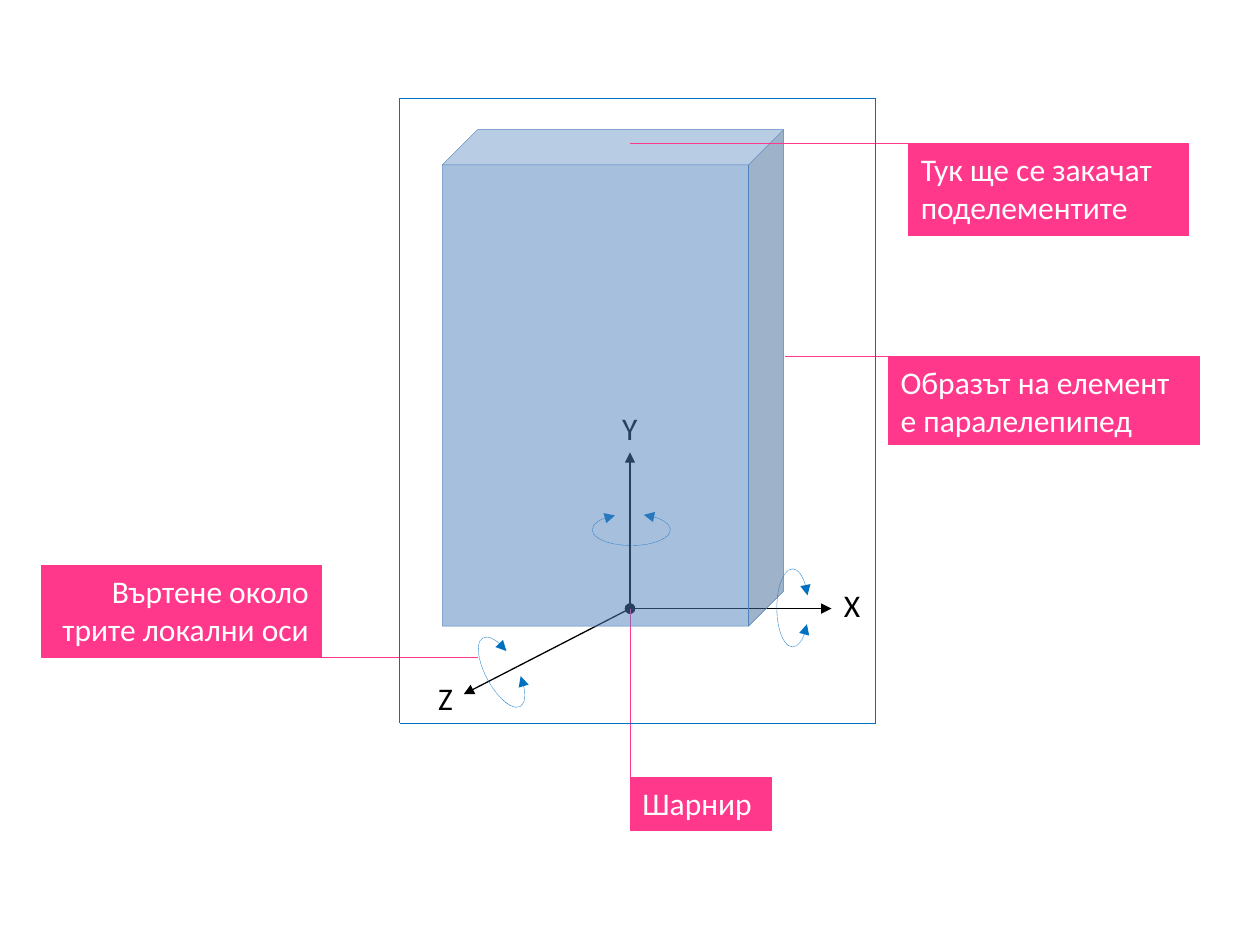
import pptx
import pptx.util
import pptx.dml.color
import pptx.enum.dml
import pptx.enum.shapes
import pptx.enum.text
import pptx.oxml
import pptx.oxml.ns
from pptx.util import Inches

SHAPE = pptx.enum.shapes.MSO_SHAPE
ALIGN = pptx.enum.text.PP_ALIGN
PINK, BLUE, STEEL, BLACK, WHITE = "FF388C", "0070C0", "4F81BD", "000000", "FFFFFF"
JOINT = (5, 4.83)


def rgb(value):
    return pptx.dml.color.RGBColor.from_string(value)


def add_xml(parent, tag, **attrs):
    el = pptx.oxml.parse_xml(f"<a:{tag} {pptx.oxml.ns.nsdecls('a')}/>")
    for name, value in attrs.items():
        el.set(name, value)
    parent.append(el)


def style_line(line, color, width=0.25, dotted=False, head=None, tail=None):
    line.color.rgb = rgb(color)
    line.width = pptx.util.Pt(width)
    if dotted:
        line.dash_style = pptx.enum.dml.MSO_LINE.ROUND_DOT
    ln = line._get_or_add_ln()
    for tag, kind in (("headEnd", head), ("tailEnd", tail)):
        if kind:
            add_xml(ln, tag, type=kind)


def add_shape(shapes, kind, box, fill=None):
    s = shapes.add_shape(kind, *map(Inches, box))
    s.shadow.inherit = False
    if fill:
        s.fill.solid()
        s.fill.fore_color.rgb = rgb(fill)
    else:
        s.fill.background()
    return s


def add_line(shapes, start, end, color, **style):
    c = shapes.add_connector(pptx.enum.shapes.MSO_CONNECTOR.STRAIGHT,
                             *map(Inches, start + end))
    style_line(c.line, color, **style)
    add_xml(c._element.spPr, "effectLst")


def add_text(tf, text, color, align=ALIGN.LEFT):
    p = tf.paragraphs[0]
    p.alignment = align
    r = p.add_run()
    r.text = text
    r.font.size = pptx.util.Pt(18)
    r.font.name = "Calibri"
    r.font.color.rgb = rgb(color)


def add_callout(slide, box, text, start, end, align=ALIGN.LEFT):
    """Pink label grouped with its leader line."""
    shapes = slide.shapes.add_group_shape().shapes
    s = add_shape(shapes, SHAPE.RECTANGLE, box, PINK)
    style_line(s.line, PINK)
    s.text_frame.word_wrap = True
    s.text_frame.vertical_anchor = pptx.enum.text.MSO_ANCHOR.TOP
    add_text(s.text_frame, text, WHITE, align)
    add_line(shapes, start, end, PINK)


def add_axis(slide, name, tip, label_at):
    add_line(slide.shapes, JOINT, tip, BLACK, width=0.75, head="oval", tail="triangle")
    tb = slide.shapes.add_textbox(*map(Inches, label_at + (0.34, 0.4)))
    tb.text_frame.word_wrap = False
    add_text(tb.text_frame, name, BLACK)


def add_rotation(slide, left, top, angle=0, flip=False):
    """Dotted two-headed arc around an axis."""
    s = add_shape(slide.shapes, SHAPE.ARC, (left, top, 0.62, 0.25))
    s.adjustments[0], s.adjustments[1] = 186.1, 132.81
    s.rotation = angle
    if flip:
        s._element.spPr.xfrm.set("flipV", "1")
    style_line(s.line, BLUE, dotted=True, head="triangle", tail="triangle")


def add_block(slide, box):
    s = add_shape(slide.shapes, SHAPE.CUBE, box, STEEL)
    s.adjustments[0] = 0.103
    fill = s._element.spPr.find(pptx.oxml.ns.qn("a:solidFill"))
    add_xml(fill[0], "alpha", val="50000")
    style_line(s.line, STEEL)


def add_frame(slide, box):
    s = add_shape(slide.shapes, SHAPE.RECTANGLE, box)
    style_line(s.line, BLUE, dotted=True)


def main():
    prs = pptx.Presentation()
    prs.slide_width, prs.slide_height = Inches(10), Inches(7.5)
    slide = prs.slides.add_slide(prs.slide_layouts[6])

    add_rotation(slide, 4.7, 4.08)
    add_axis(slide, "X", (6.6, 4.83), (6.6, 4.6))
    add_axis(slide, "Z", (3.68, 5.51), (3.38, 5.34))
    add_axis(slide, "Y", (5, 3.59), (4.84, 3.2))
    add_callout(slide, (5, 6.17, 1.12, 0.42), "Шарнир", JOINT, (5, 6.58))
    add_rotation(slide, 5.98, 4.7, 270, flip=True)
    add_rotation(slide, 3.67, 5.21, 61.5)
    add_callout(slide, (0.33, 4.49, 2.22, 0.73), "Въртене около трите локални оси",
                (0.33, 5.22), (3.79, 5.22), ALIGN.RIGHT)
    add_block(slide, (3.51, 1.03, 2.71, 3.94))
    add_callout(slide, (7.21, 1.14, 2.22, 0.73), "Тук ще се закачат поделементите",
                (5, 1.14), (9.43, 1.14))
    add_callout(slide, (7.05, 2.83, 2.47, 0.7), "Образът на елемент е паралелепипед",
                (6.23, 2.83), (9.52, 2.83))
    add_frame(slide, (3.17, 0.78, 3.78, 4.96))
    prs.save("out.pptx")


if __name__ == "__main__":
    main()
